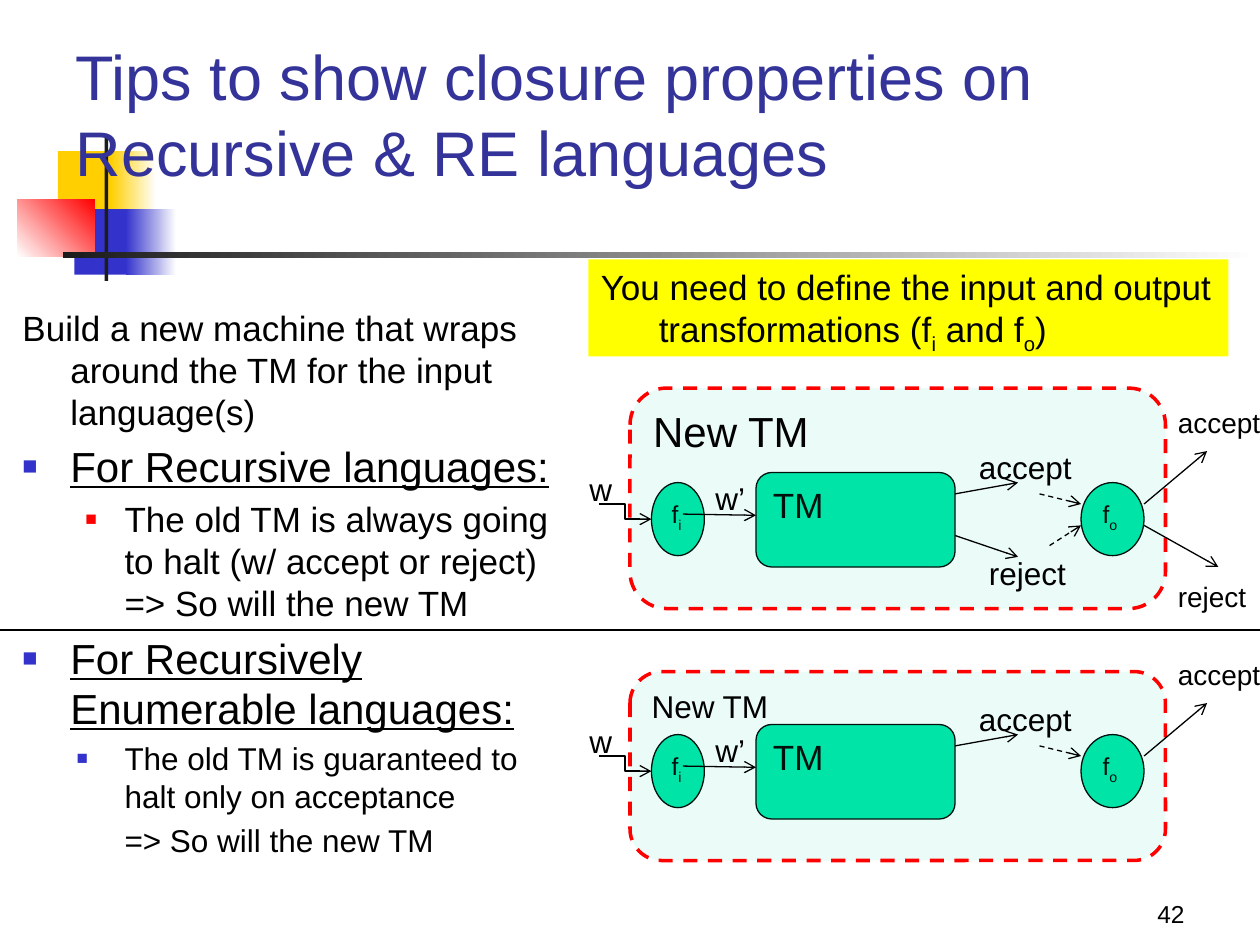
from dataclasses import dataclass

from lxml.etree import SubElement
from pptx import Presentation
from pptx.dml.color import RGBColor
from pptx.enum.dml import MSO_LINE
from pptx.enum.shapes import MSO_CONNECTOR as Link, MSO_SHAPE as Form
from pptx.enum.text import MSO_ANCHOR as Anchor, PP_ALIGN as Align
from pptx.oxml.ns import qn
from pptx.util import Inches, Pt

COLORS = {
    "black": "000000", "white": "FFFFFF", "yellow": "FFFF00", "gold": "FFCF01",
    "blue": "3333CC", "red": "FF0000", "ink": "1C1C1C", "title": "333399", "green": "00E4A8",
}
FONT = "Arial"


@dataclass
class Span:
    text: str
    subscript: bool = False


@dataclass
class Band:
    left: float
    top: float
    width: float
    height: float
    start: str
    end: str = ""
    angle: int = 0


@dataclass
class Point:
    text: str
    size: int
    margin: float = 0.38
    hang: float = -0.38
    bullet: str = ""
    bullet_size: int = 60
    underline: bool = False


@dataclass
class Label:
    text: str
    left: float
    top: float
    width: float
    size: int = 18


@dataclass
class Arrow:
    x1: float
    y1: float
    x2: float
    y2: float
    dashed: bool = False
    elbow: bool = False


BANDS = [
    Band(0.46, 1.2, 0.48, 0.52, "gold"),
    Band(0.88, 1.2, 0.36, 0.52, "gold", "white"),
    Band(0.59, 1.66, 0.46, 0.52, "blue"),
    Band(1, 1.66, 0.4, 0.52, "blue", "white"),
    Band(0.14, 1.58, 0.61, 0.46, "white", "red", 45),
    Band(0.83, 1.08, 0.03, 1.15, "ink"),
    Band(0.5, 2, 9.5, 0.05, "ink", "white"),
]
POINTS = [
    Point("Build a new machine that wraps around the TM for the input language(s)", 20),
    Point("For Recursive languages:", 24, bullet="blue", underline=True),
    Point("The old TM is always going to halt (w/ accept or reject) => So will the new TM",
          20, 0.81, -0.31, "red", 55),
    Point("For Recursively Enumerable languages:", 24, bullet="blue", underline=True),
    Point("The old TM is guaranteed to halt only on acceptance", 18, 0.81, -0.38, "blue"),
    Point("=> So will the new TM", 18, 0.81, 0),
]
LABELS = [
    Label("accept", 7.67, 3.51, 0.94), Label("w", 4.58, 3.68, 0.38),
    Label("w’", 5.58, 3.75, 0.44), Label("accept", 9.25, 3.17, 0.86, 16),
]
REJECT_LABELS = [Label("reject", 7.75, 4.35, 0.82), Label("reject", 9.25, 4.55, 0.75, 16)]
ARROWS = [
    Arrow(7.58, 3.92, 8.08, 3.83), Arrow(5.42, 4.08, 6, 4.09),
    Arrow(4.75, 4, 5.17, 4.12, elbow=True), Arrow(9.08, 4, 9.58, 3.58),
    Arrow(8.25, 3.92, 8.58, 4, dashed=True),
]
REJECT_ARROWS = [
    Arrow(7.58, 4.25, 8.08, 4.42), Arrow(9.08, 4.17, 9.67, 4.5),
    Arrow(8.33, 4.33, 8.58, 4.17, dashed=True),
]

deck = Presentation()
deck.slide_width, deck.slide_height = Inches(10), Inches(7.5)
page = deck.slides.add_slide(deck.slide_layouts[5])


def color(name: str) -> RGBColor:
    return RGBColor.from_string(COLORS[name])


def write(para, spans: list[Span], size: int, ink: str = "black", underline: bool = False) -> None:
    for span in spans:
        run = para.add_run()
        run.text = span.text
        run.font.name, run.font.size = FONT, Pt(size)
        run.font.color.rgb = color(ink)
        if underline:
            run.font.underline = True
        if span.subscript:
            run.font._element.set("baseline", "-25000")


def indent(para, margin: float, hang: float):
    props = para._p.get_or_add_pPr()
    props.set("marL", str(Inches(margin)))
    props.set("indent", str(Inches(hang)))
    return props


def add_form(form: Form, left: float, top: float, width: float, height: float, fill: str):
    shape = page.shapes.add_shape(form, Inches(left), Inches(top), Inches(width), Inches(height))
    shape.shadow.inherit = False
    shape.fill.solid()
    shape.fill.fore_color.rgb = color(fill)
    shape.line.fill.background()
    shape.text_frame.vertical_anchor = Anchor.TOP
    shape.text_frame.paragraphs[0].alignment = Align.LEFT
    return shape


def add_node(form: Form, left: float, top: float, width: float, height: float,
             spans: list[Span], size: int, line: str = "black", weight: float = 0.75):
    node = add_form(form, left, top, width, height, "green")
    node.line.color.rgb, node.line.width = color(line), Pt(weight)
    write(node.text_frame.paragraphs[0], spans, size)
    return node


def add_band(band: Band) -> None:
    shape = add_form(Form.RECTANGLE, band.left, band.top, band.width, band.height, band.start)
    if band.end:
        shape.fill.gradient()
        shape.fill.gradient_angle = band.angle
        for stop, name in zip(shape.fill.gradient_stops, (band.start, band.end)):
            stop.color.rgb = color(name)


def add_box(left: float, top: float, width: float, height: float, wrap: bool = True):
    box = page.shapes.add_textbox(Inches(left), Inches(top), Inches(width), Inches(height))
    box.text_frame.word_wrap = wrap
    return box.text_frame


def add_label(label: Label, shift: float) -> None:
    frame = add_box(label.left, label.top + shift, label.width, 0.4, wrap=False)
    write(frame.paragraphs[0], [Span(label.text)], label.size)


def add_line(arrow: Arrow, shift: float = 0, head: bool = True) -> None:
    kind = Link.ELBOW if arrow.elbow else Link.STRAIGHT
    link = page.shapes.add_connector(kind, Inches(arrow.x1), Inches(arrow.y1 + shift),
                                     Inches(arrow.x2), Inches(arrow.y2 + shift))
    link.line.color.rgb, link.line.width = color("black"), Pt(0.75)
    if arrow.dashed:
        link.line.dash_style = MSO_LINE.DASH
    if head:
        SubElement(link.line._get_or_add_ln(), qn("a:tailEnd"), type="arrow")
    SubElement(link._element.spPr, qn("a:effectLst"))


def add_point(para, point: Point) -> None:
    para.space_before = Pt(point.size * 0.2)
    props = indent(para, point.margin, point.hang)
    if point.bullet:
        tint = SubElement(props, qn("a:buClr"))
        SubElement(tint, qn("a:srgbClr"), val=COLORS[point.bullet])
        SubElement(props, qn("a:buSzPct"), val=str(point.bullet_size * 1000))
        SubElement(props, qn("a:buFont"), typeface=FONT)
        SubElement(props, qn("a:buChar"), char="■")
    write(para, [Span(point.text)], point.size, underline=point.underline)


def add_machine(shift: float, frame_top: float, frame_height: float, heading_size: int,
                labels: list[Label], arrows: list[Arrow]) -> None:
    add_node(Form.ROUNDED_RECTANGLE, 6, 3.75 + shift, 1.58, 0.75, [Span("TM")], 20)
    for left, width, mark in ((5.17, 0.42, "i"), (8.58, 0.5, "o")):
        add_node(Form.OVAL, left, 3.83 + shift, width, 0.58, [Span("f"), Span(mark, True)], 14)
    frame = add_node(Form.ROUNDED_RECTANGLE, 5, frame_top, 4.25, frame_height,
                     [Span("New TM")], heading_size, "red", 2)
    frame.line.dash_style = MSO_LINE.DASH
    tint = frame._element.spPr.find(qn("a:solidFill"))[0]
    SubElement(tint, qn("a:alpha"), val="8000")
    for label in labels:
        add_label(label, shift)
    for arrow in arrows:
        add_line(arrow, shift)


for band in BANDS:
    add_band(band)

title = page.shapes.title
title.left, title.top, title.width, title.height = map(Inches, (0.5, 0.3, 9, 1.25))
title.text_frame.vertical_anchor = Anchor.BOTTOM
title.text_frame.paragraphs[0].alignment = Align.LEFT
write(title.text_frame.paragraphs[0],
      [Span("Tips to show closure properties on Recursive & RE languages")], 36, "title")
page.shapes._spTree.append(title._element)

body = add_box(0.08, 2.38, 4.42, 4.32)
for index, point in enumerate(POINTS):
    add_point(body.add_paragraph() if index else body.paragraphs[0], point)

number = add_box(7.42, 6.92, 2.08, 0.5)
number.vertical_anchor = Anchor.BOTTOM
number.paragraphs[0].alignment = Align.RIGHT
write(number.paragraphs[0], [Span("42")], 14)

add_machine(0, 3.08, 1.75, 24, LABELS + REJECT_LABELS, ARROWS + REJECT_ARROWS)
add_machine(2, 5.33, 1.5, 18, LABELS, ARROWS)

note = add_form(Form.RECTANGLE, 4.67, 2.06, 5.08, 0.77, "yellow").text_frame
note.word_wrap = False
advice = note.paragraphs[0]
indent(advice, 0.46, -0.46)
write(advice, [Span("You need to define the input and output")], 20)
advice.add_line_break()
write(advice, [Span("transformations (f"), Span("i", True), Span(" and f"), Span("o", True),
               Span(")")], 20)
add_line(Arrow(0, 5, 10, 5), head=False)

deck.save("out.pptx")
